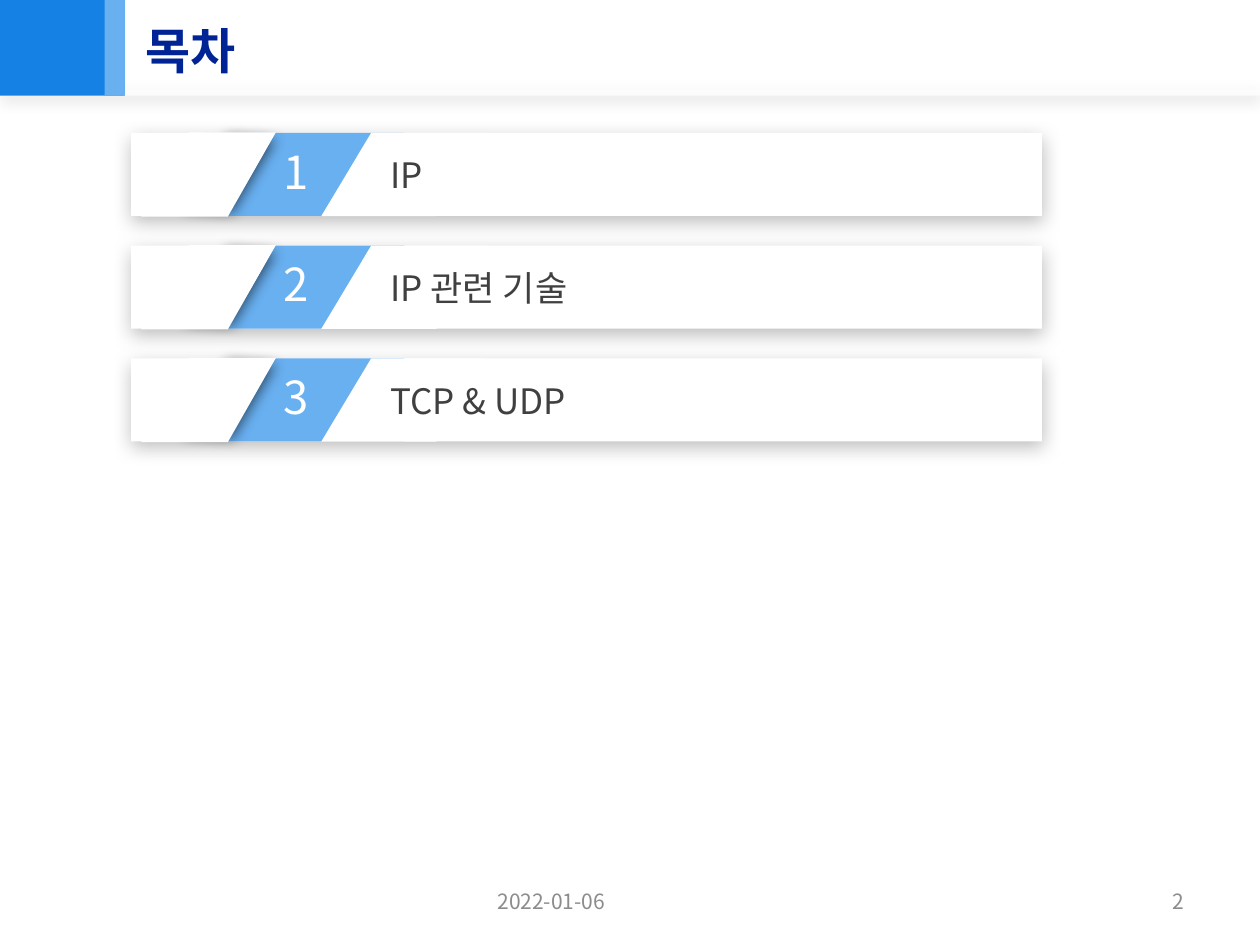
from dataclasses import dataclass

from lxml import etree
from pptx import Presentation
from pptx.dml.color import RGBColor
from pptx.enum.shapes import MSO_SHAPE
from pptx.enum.text import MSO_ANCHOR, MSO_AUTO_SIZE, PP_ALIGN
from pptx.oxml.ns import qn
from pptx.util import Inches, Pt

RECT = MSO_SHAPE.RECTANGLE
SLANT = MSO_SHAPE.PARALLELOGRAM
GROW = MSO_AUTO_SIZE.SHAPE_TO_FIT_TEXT
FIXED = MSO_AUTO_SIZE.NONE
TOP, MIDDLE = MSO_ANCHOR.TOP, MSO_ANCHOR.MIDDLE
LEFT, RIGHT = PP_ALIGN.LEFT, PP_ALIGN.RIGHT

WIDTH, HEIGHT = Inches(10), Inches(7.5)
COL, ROW = WIDTH / 100, HEIGHT / 75


@dataclass(frozen=True)
class Theme:
    white: str = "FFFFFF"
    blue: str = "1581E4"
    sky: str = "69B0F1"
    navy: str = "002496"
    dark: str = "404040"
    gray: str = "8C8C8C"
    black: str = "000000"
    latin: str = "Arial"
    hangul: str = "Noto Sans CJK KR"
    title: int = 28
    number: int = 26
    label: int = 20
    footer: int = 12


THEME = Theme()


def place(box, part):
    left, top = box[0] + part[0], box[1] + part[1]
    return [round(n) for n in (left * COL, top * ROW, part[2] * COL, part[3] * ROW)]


def fade(color, alpha):
    etree.SubElement(color, qn("a:alpha"), val=str(alpha * 1000))


def shade(shape, alpha, blur, dist, angle):
    effects = shape._element.spPr.find(qn("a:effectLst"))
    outer = etree.SubElement(
        effects, qn("a:outerShdw"), blurRad=str(Pt(blur)), dist=str(Pt(dist)),
        dir=str(angle * 60000), algn="ctr", rotWithShape="0")
    fade(etree.SubElement(outer, qn("a:srgbClr"), val=THEME.black), alpha)


def block(shapes, box, part, color, kind=RECT, slant=None, alpha=None, shadow=None):
    shape = shapes.add_shape(kind, *place(box, part))
    shape.shadow.inherit = False
    shape.fill.solid()
    shape.fill.fore_color.rgb = RGBColor.from_string(color)
    shape.line.fill.background()
    if slant:
        shape.adjustments[0] = slant
    if alpha:
        fade(shape._element.spPr.find(qn("a:solidFill"))[0], alpha)
    if shadow:
        shade(shape, *shadow)
    return shape


def write(shapes, box, part, text, size, color, font=THEME.hangul, bold=False,
          align=LEFT, anchor=TOP, fit=GROW):
    frame = shapes.add_textbox(*place(box, part)).text_frame
    frame.word_wrap = True
    frame.auto_size = fit
    frame.vertical_anchor = anchor
    frame.text = text
    line = frame.paragraphs[0]
    line.alignment = align
    run = line.runs[0]
    run.font.name = font
    run.font.size = Pt(size)
    run.font.bold = bold
    run.font.color.rgb = RGBColor.from_string(color)
    etree.SubElement(run.font._element, qn("a:ea"), typeface=THEME.hangul)


def header(slide, box, title):
    shapes = slide.shapes.add_group_shape().shapes
    wide, high = box[2:]
    block(shapes, box, (0, high - 0.5, wide, 0.5), THEME.white, alpha=50,
          shadow=(31, 8, 2, 90))
    block(shapes, box, (0, 0, wide, high), THEME.white, alpha=50)
    block(shapes, box, (0, 0, 9.9, high), THEME.blue)
    block(shapes, box, (8.3, 0, 1.6, high), THEME.sky)
    write(shapes, box, (10.6, 1.1, 70.1, 5.7), title, THEME.title, THEME.navy,
          font=THEME.latin, bold=True)


def entry(slide, box, number, label):
    shapes = slide.shapes.add_group_shape().shapes
    wide, high = box[2:]
    block(shapes, box, (0, 0, 6.6, high), THEME.white)
    block(shapes, box, (0, 0, wide, high), THEME.white, shadow=(26, 11, 3, 90))
    block(shapes, box, (5.7, 0, 16, high), THEME.sky)
    block(shapes, box, (15.1, 0, 13.1, high), THEME.white, SLANT, 0.6)
    edge = block(shapes, box, (3.7, 0.3, 6.9, 6), THEME.white, SLANT, 0.51,
                 shadow=(54, 8, 5, 0))
    edge.rotation = 3.6
    block(shapes, box, (0.8, -0.05, 10.7, high + 0.1), THEME.white, SLANT, 0.57)
    write(shapes, box, (11.1, 0.35, 3.1, 5.4), str(number), THEME.number, THEME.white)
    write(shapes, box, (19.6, 1.15, 49, 4.4), label, THEME.label, THEME.dark)


def agenda(slide, box, labels):
    left, top, wide, high = box
    step = 8.95
    for index, label in enumerate(labels):
        entry(slide, (left, top + index * step, wide, high), index + 1, label)


def footer(slide, box, date, page):
    part = 23.3
    for left, text, align in ((0, date, LEFT), (box[2] - part, page, RIGHT)):
        write(slide.shapes, box, (left, 0, part, box[3]), text, THEME.footer,
              THEME.gray, align=align, anchor=MIDDLE, fit=FIXED)


def main():
    deck = Presentation()
    deck.slide_width, deck.slide_height = WIDTH, HEIGHT
    slide = deck.slides.add_slide(deck.slide_layouts[6])
    header(slide, (0, 0, 100, 7.6), "목차")
    agenda(slide, (10.4, 10.55, 72.3, 6.6), ("IP", "IP 관련 기술", "TCP & UDP"))
    footer(slide, (38.5, 69.5, 56.5, 4), "2022-01-06", "2")
    deck.save("out.pptx")


if __name__ == "__main__":
    main()
